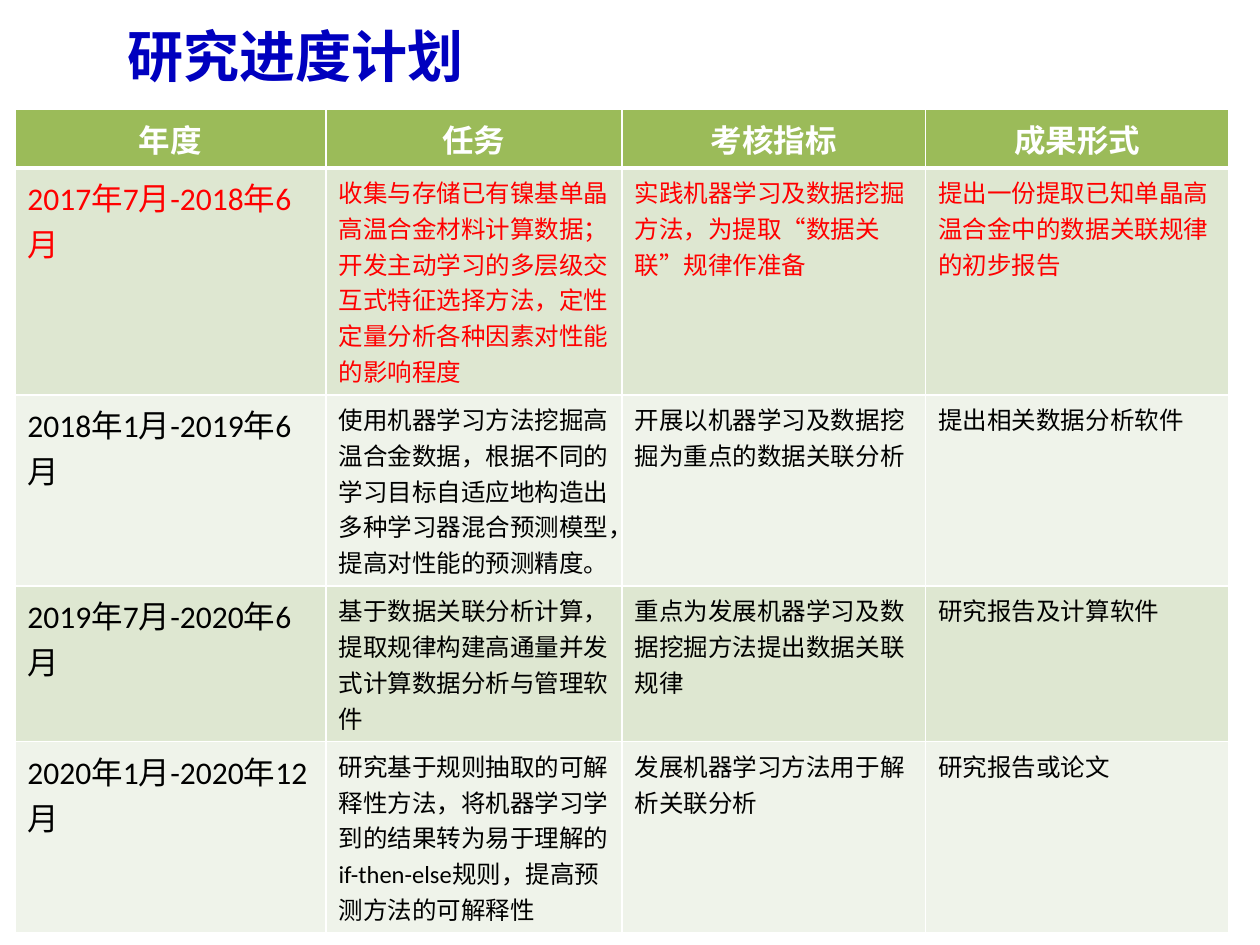
from lxml import etree
from pptx import Presentation
from pptx import util as u
from pptx.dml.color import RGBColor
from pptx.enum import text
from pptx.oxml import ns

THEME = {
    "title": "0000BF", "header": "9BBB59", "bands": ("DEE7D1", "EFF3EA"),
    "white": "FFFFFF", "current": "FF0000", "body": "000000",
    "title_size": 32, "large": 18, "small": 14,
    "latin": "Calibri", "cjk": "Noto Sans CJK SC",
}

HEADER = ("年度", "任务", "考核指标", "成果形式")
PLAN = (
    ("2017年7月-2018年6月",
     "收集与存储已有镍基单晶高温合金材料计算数据；开发主动学习的多层级交互式特征选择方法，定性定量分析各种因素对性能的影响程度",
     "实践机器学习及数据挖掘方法，为提取“数据关联”规律作准备",
     "提出一份提取已知单晶高温合金中的数据关联规律的初步报告"),
    ("2018年1月-2019年6月",
     "使用机器学习方法挖掘高温合金数据，根据不同的学习目标自适应地构造出多种学习器混合预测模型，提高对性能的预测精度。",
     "开展以机器学习及数据挖掘为重点的数据关联分析",
     "提出相关数据分析软件"),
    ("2019年7月-2020年6月",
     "基于数据关联分析计算，提取规律构建高通量并发式计算数据分析与管理软件",
     "重点为发展机器学习及数据挖掘方法提出数据关联规律",
     "研究报告及计算软件"),
    ("2020年1月-2020年12月",
     "研究基于规则抽取的可解释性方法，将机器学习学到的结果转为易于理解的if-then-else规则，提高预测方法的可解释性",
     "发展机器学习方法用于解析关联分析",
     "研究报告或论文"),
)
COLUMN_WIDTHS = (6.27, 5.97, 6.12, 6.12)
ROW_HEIGHTS = (0.97, 3.61, 3.28, 2.39, 3.76)


def write(tf, content, size, color, bold=False, font=THEME["latin"],
          align=text.PP_ALIGN.LEFT):
    p = tf.paragraphs[0]
    p.alignment = align
    r = p.add_run()
    r.text = content
    r.font.size = u.Pt(size)
    r.font.bold = bold
    r.font.name = font
    r.font.color.rgb = RGBColor.from_string(color)
    ea = etree.SubElement(r.font._element, ns.qn("a:ea"))
    ea.set("typeface", THEME["cjk"])


def style_cell(cell, fill, bottom=1):
    """Draw white borders (widths in points) and a solid fill."""
    tc_pr = cell._tc.get_or_add_tcPr()
    for side, width in (("L", 1), ("R", 1), ("T", 1), ("B", bottom)):
        ln = etree.SubElement(tc_pr, ns.qn(f"a:ln{side}"), w=str(u.Pt(width)))
        solid = etree.SubElement(ln, ns.qn("a:solidFill"))
        etree.SubElement(solid, ns.qn("a:srgbClr"), val=THEME["white"])
    cell.fill.solid()
    cell.fill.fore_color.rgb = RGBColor.from_string(fill)


prs = Presentation()
prs.slide_width, prs.slide_height = u.Cm(25.4), u.Cm(19.05)
s = prs.slides.add_slide(prs.slide_layouts[5])

title = s.shapes.title
title.left, title.top = u.Cm(2.31), u.Cm(0)
title.width, title.height = u.Cm(22.86), u.Cm(2.21)
title.text_frame.vertical_anchor = text.MSO_ANCHOR.MIDDLE
write(title.text_frame, "研究进度计划", THEME["title_size"], THEME["title"],
      bold=True, font=THEME["cjk"])

frame = s.shapes.add_table(len(PLAN) + 1, len(HEADER), u.Cm(0.3), u.Cm(2.21),
                           u.Cm(24.51), u.Cm(14.71))
table = frame.table
for column, width in zip(table.columns, COLUMN_WIDTHS):
    column.width = u.Cm(width)
for row, height in zip(table.rows, ROW_HEIGHTS):
    row.height = u.Cm(height)
frame.height = u.Cm(14.71)

for col, label in enumerate(HEADER):
    cell = table.cell(0, col)
    style_cell(cell, THEME["header"], bottom=3)
    write(cell.text_frame, label, THEME["large"], THEME["white"], bold=True,
          align=text.PP_ALIGN.CENTER)

for row, stage in enumerate(PLAN):
    color = THEME["current"] if row == 0 else THEME["body"]
    for col, content in enumerate(stage):
        cell = table.cell(row + 1, col)
        style_cell(cell, THEME["bands"][row % 2])
        size = THEME["large"] if col == 0 else THEME["small"]
        write(cell.text_frame, content, size, color)

prs.save("out.pptx")
